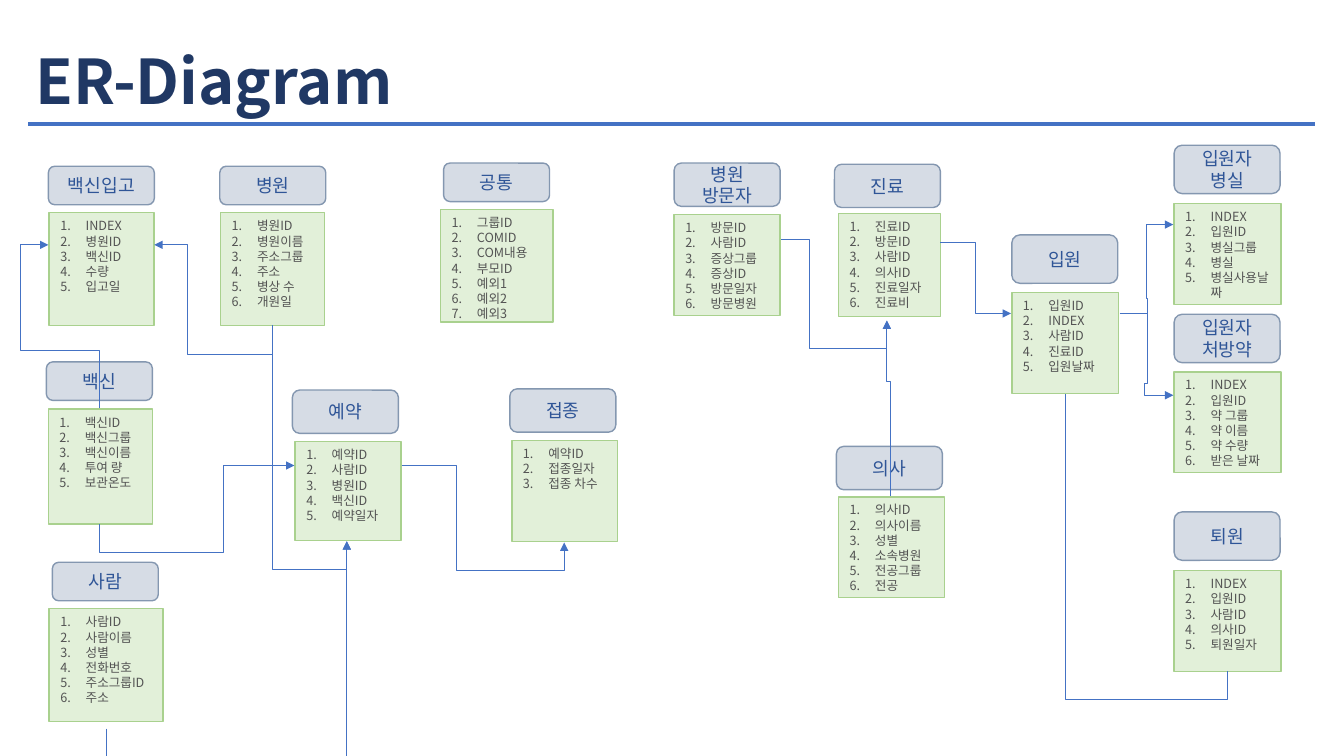
"""Build the ER-Diagram slide: hospital entities and the links between them."""
from lxml.etree import SubElement
from pptx import Presentation
from pptx.dml.color import RGBColor
from pptx.enum.shapes import MSO_SHAPE as Preset
from pptx.enum.text import MSO_ANCHOR as Anchor, MSO_AUTO_SIZE as AutoSize, PP_ALIGN as Align
from pptx.oxml.ns import qn
from pptx.util import Cm, Pt

FONT = "Noto Sans CJK KR"
NAVY = RGBColor(0x20, 0x38, 0x64)
BLUE = RGBColor(0x44, 0x72, 0xC4)
WHITE = RGBColor(0xFF, 0xFF, 0xFF)
HEADING_FILL = RGBColor(0xD6, 0xDC, 0xE5)
HEADING_LINE = RGBColor(0x84, 0x97, 0xB0)
HEADING_TEXT = RGBColor(0x2F, 0x55, 0x97)
FIELD_FILL = RGBColor(0xE2, 0xF0, 0xD9)
FIELD_LINE = RGBColor(0xA9, 0xD1, 0x8E)
FIELD_TEXT = RGBColor(0x53, 0x53, 0x53)
HEADING_WIDTH = 2.67

# Each entity: heading (left, top, height), field box (left, top, width, height), name, fields
ENTITIES = [
    ((11.18, 4.11, 0.97), (11.1, 5.28, 2.84, 2.84), "공통",
     ["그룹ID", "COMID", "COM내용", "부모ID", "예외1", "예외2", "예외3"]),
    ((1.32, 14.17, 0.97), (1.24, 15.34, 2.87, 2.84), "사람",
     ["사람ID", "사람이름", "성별", "전화번호", "주소그룹ID", "주소"]),
    ((5.54, 4.19, 0.97), (5.56, 5.36, 2.62, 2.84), "병원",
     ["병원ID", "병원이름", "주소그룹", "주소", "병상 수", "개원일"]),
    ((1.17, 9.12, 0.97), (1.22, 10.31, 2.62, 2.9), "백신",
     ["백신ID", "백신그룹", "백신이름", "투여 량", "보관온도"]),
    ((21.08, 11.25, 1.09), (21.13, 12.52, 2.67, 2.54), "의사",
     ["의사ID", "의사이름", "성별", "소속병원", "전공그룹", "전공"]),
    ((7.37, 9.83, 1.09), (7.44, 11.13, 2.67, 2.49), "예약",
     ["예약ID", "사람ID", "병원ID", "백신ID", "예약일자"]),
    ((12.85, 9.8, 1.09), (12.9, 11.1, 2.67, 2.54), "접종",
     ["예약ID", "접종일자", "접종 차수"]),
    ((16.99, 4.11, 1.09), (16.99, 5.41, 2.67, 2.54), "병원\n방문자",
     ["방문ID", "사람ID", "증상그룹", "증상ID", "방문일자", "방문병원"]),
    ((1.22, 4.19, 0.97), (1.24, 5.36, 2.64, 2.84), "백신입고",
     ["INDEX", "병원ID", "백신ID", "수량", "입고일"]),
    ((21.03, 4.14, 1.09), (21.13, 5.38, 2.57, 2.59), "진료",
     ["진료ID", "방문ID", "사람ID", "의사ID", "진료일자", "진료비"]),
    ((25.5, 5.92, 1.22), (25.5, 7.37, 2.69, 2.54), "입원",
     ["입원ID", "INDEX", "사람ID", "진료ID", "입원날짜"]),
    ((29.59, 12.9, 1.22), (29.59, 14.38, 2.69, 2.54), "퇴원",
     ["INDEX", "입원ID", "사람ID", "의사ID", "퇴원일자"]),
    ((29.59, 3.66, 1.22), (29.59, 5.13, 2.69, 2.54), "입원자\n병실",
     ["INDEX", "입원ID", "병실그룹", "병실", "병실사용날짜"]),
    ((29.59, 7.92, 1.22), (29.59, 9.37, 2.69, 2.54), "입원자\n처방약",
     ["INDEX", "입원ID", "약 그룹", "약 이름", "약 수량", "받은 날짜"]),
]

LINKS = [
    ([(28.22, 7.9), (28.91, 7.9), (28.91, 7.52), (28.88, 7.52), (28.88, 5.66), (29.57, 5.66)], True),
    ([(28.22, 7.9), (28.91, 7.9), (28.91, 9.65), (28.85, 9.65), (28.85, 9.96), (29.57, 9.96)], True),
    ([(26.85, 9.93), (26.85, 17.63), (30.94, 17.63), (30.94, 16.92)], False),
    ([(19.69, 6.02), (20.4, 6.02), (20.4, 8.79), (22.35, 8.79), (22.35, 8.08)], True),
    ([(22.43, 12.5), (22.43, 9.6), (22.35, 9.6), (22.35, 8.08)], True),
    ([(10.13, 11.73), (11.51, 11.73), (11.51, 14.38), (14.22, 14.38), (14.22, 13.67)], True),
    ([(6.86, 8.2), (6.86, 8.92), (4.72, 8.92), (4.72, 6.17), (3.89, 6.17)], True),
    ([(2.51, 10.29), (2.51, 8.84), (0.51, 8.84), (0.51, 6.17), (1.22, 6.17)], True),
    ([(6.86, 8.2), (6.86, 14.35), (8.74, 14.35), (8.74, 13.64)], True),
    ([(2.67, 18.36), (2.67, 19.08), (8.74, 19.08), (8.74, 13.64)], True),
    ([(2.51, 13.21), (2.51, 13.92), (5.64, 13.92), (5.64, 11.73), (7.42, 11.73)], True),
    ([(23.7, 6.1), (24.59, 6.1), (24.59, 7.9), (25.48, 7.9)], True),
]


def set_font(paragraph, size, color, bold=False):
    font = paragraph.font
    font.name, font.size, font.bold = FONT, Pt(size), bold
    font.color.rgb = color
    defaults = paragraph._p.pPr.find(qn("a:defRPr"))
    SubElement(defaults, qn("a:ea"), typeface=FONT)


def add_panel(shapes, preset, box, fill, line, margins):
    panel = shapes.add_shape(preset, *map(Cm, box))
    panel.shadow.inherit = False
    panel.fill.solid()
    panel.fill.fore_color.rgb = fill
    panel.line.color.rgb = line
    panel.line.width = Pt(1)
    frame = panel.text_frame
    frame.word_wrap = True
    frame.margin_left = frame.margin_right = Cm(margins[0])
    frame.margin_top = frame.margin_bottom = Cm(margins[1])
    return frame


prs = Presentation()
prs.slide_width, prs.slide_height = Cm(33.87), Cm(19.05)
slide = prs.slides.add_slide(prs.slide_layouts[5])

title = slide.shapes.title
title.left, title.top, title.width, title.height = Cm(0.76), Cm(0.81), Cm(28.93), Cm(2.64)
heading = title.text_frame
heading.text = "ER-Diagram"
heading.auto_size = AutoSize.NONE
heading.vertical_anchor = Anchor.MIDDLE
heading.margin_left = heading.margin_right = Cm(0.13)
heading.margin_top = heading.margin_bottom = Cm(0.13)
heading.paragraphs[0].alignment = Align.LEFT
heading.paragraphs[0].line_spacing = 0.9
set_font(heading.paragraphs[0], 44, NAVY, bold=True)

add_panel(slide.shapes, Preset.RECTANGLE, (0.69, 3.07, 32.46, 0.13), BLUE, WHITE, (0, 0))

for (left, top, height), field_box, name, fields in ENTITIES:
    entity = slide.shapes.add_group_shape().shapes
    name_frame = add_panel(entity, Preset.ROUNDED_RECTANGLE, (left, top, HEADING_WIDTH, height),
                           HEADING_FILL, HEADING_LINE, (0.13, 0))
    name_frame.text = name
    name_frame.vertical_anchor = Anchor.MIDDLE
    for paragraph in name_frame.paragraphs:
        paragraph.alignment = Align.CENTER
        set_font(paragraph, 13, HEADING_TEXT)

    field_frame = add_panel(entity, Preset.RECTANGLE, field_box, FIELD_FILL, FIELD_LINE, (0.28, 0.14))
    field_frame.text = "\n".join(fields)
    field_frame.vertical_anchor = Anchor.TOP
    for paragraph in field_frame.paragraphs:
        paragraph.alignment = Align.LEFT
        numbering = paragraph._p.get_or_add_pPr()
        numbering.set("marL", str(Cm(0.64)))
        numbering.set("indent", str(Cm(-0.64)))
        SubElement(numbering, qn("a:buFont"), typeface="+mj-lt")
        SubElement(numbering, qn("a:buAutoNum"), type="arabicPeriod")
        set_font(paragraph, 9, FIELD_TEXT)

for points, has_arrow in LINKS:
    start, *corners = [(Cm(x), Cm(y)) for x, y in points]
    route = slide.shapes.build_freeform(*start)
    route.add_line_segments(corners, close=False)
    link = route.convert_to_shape()
    link.shadow.inherit = False
    link.fill.background()
    link.line.color.rgb = BLUE
    link.line.width = Pt(0.5)
    if has_arrow:
        SubElement(link.line._get_or_add_ln(), qn("a:tailEnd"), type="triangle")

prs.save("out.pptx")
